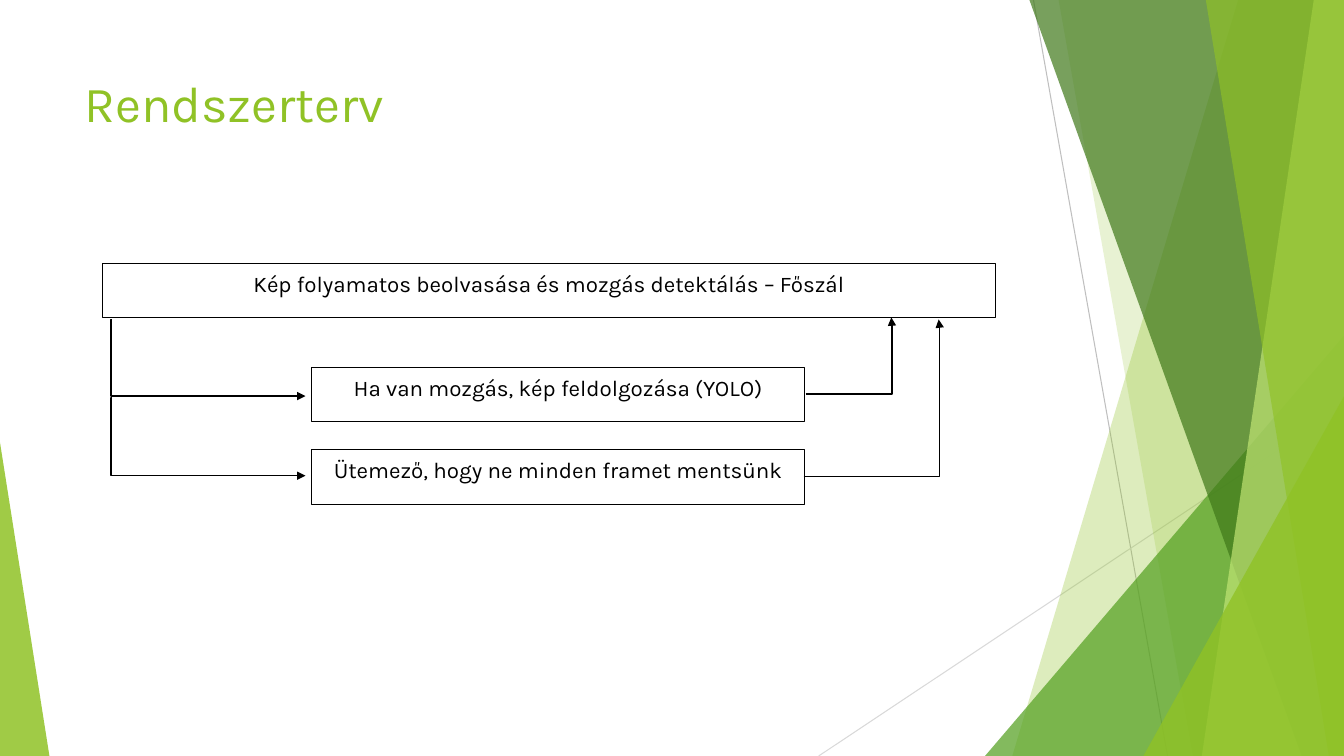
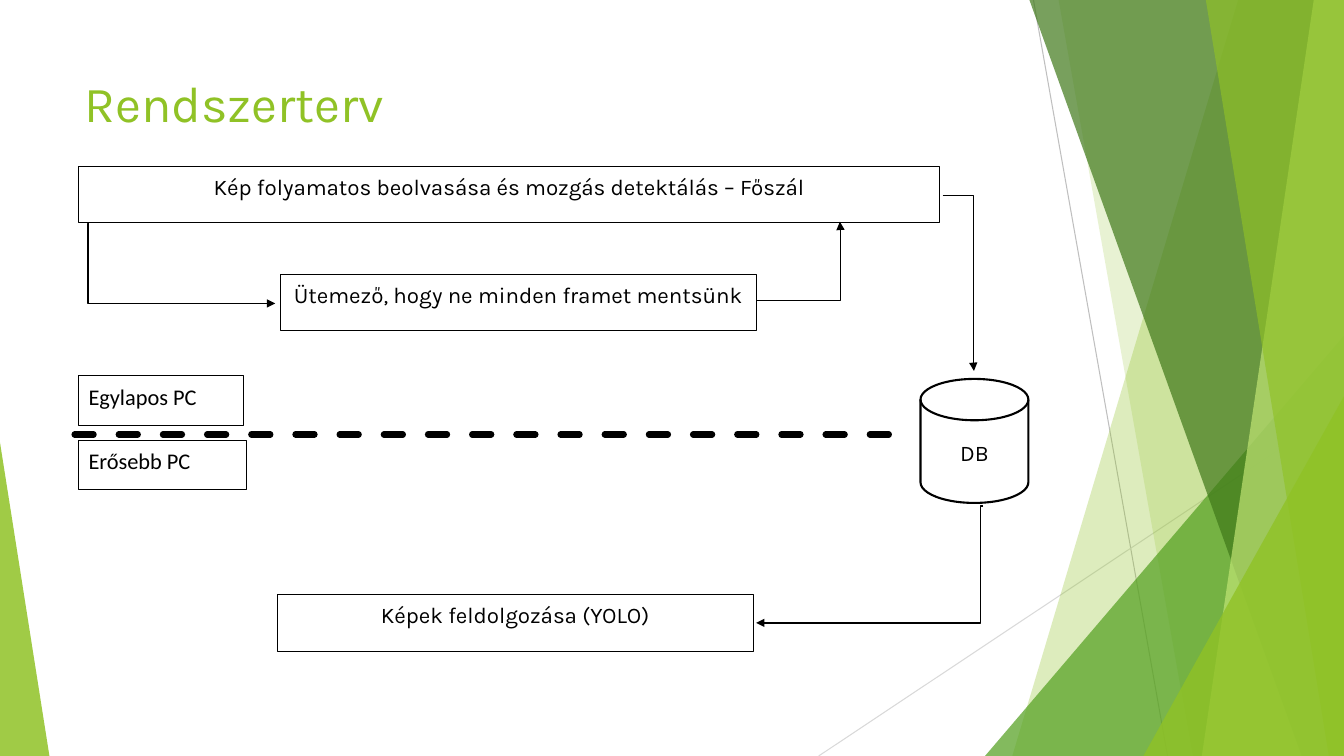
from lxml import etree
from pptx import Presentation
from pptx.dml.color import RGBColor
from pptx.enum import dml, shapes, text
from pptx.oxml.ns import qn
from pptx.util import Inches, Pt

BLACK = RGBColor(0x00, 0x00, 0x00)
WHITE = RGBColor(0xFF, 0xFF, 0xFF)
LIME = RGBColor(0x90, 0xC2, 0x26)
GREEN = RGBColor(0x54, 0xA0, 0x21)
DARK = RGBColor(0x3F, 0x78, 0x19)
PALE = RGBColor(0xC0, 0xE4, 0x74)
GREY = RGBColor(0xBF, 0xBF, 0xBF)
SILVER = RGBColor(0xD9, 0xD9, 0xD9)

FONT = "Karla"
WIDE, HIGH = 13.33, 7.5
MAIN = "Kép folyamatos beolvasása és mozgás detektálás – Főszál"
TIMER = "Ütemező, hogy ne minden framet mentsünk"
KIND = shapes.MSO_SHAPE
LINK = shapes.MSO_CONNECTOR

# Where an elbow turns, as a share of its width
AT_START, AT_END = -0.004, 1.007


def write(shape, words, size=16, font=FONT, color=BLACK,
          align=text.PP_ALIGN.CENTER, anchor=text.MSO_ANCHOR.TOP,
          spacing=1.07, after=8):
    frame = shape.text_frame
    frame.word_wrap = True
    frame.vertical_anchor = anchor
    para = frame.paragraphs[0]
    para.alignment = align
    para.line_spacing = spacing
    para.space_after = Pt(after)
    run = para.add_run()
    run.text = words
    run.font.size = Pt(size)
    run.font.name = font
    run.font.color.rgb = color


def tint(shape, color, alpha):
    """Fill without outline; alpha is the opacity in percent."""
    shape.shadow.inherit = False
    shape.line.fill.background()
    shape.fill.solid()
    shape.fill.fore_color.rgb = color
    clr = shape.fill._xPr.find(".//" + qn("a:srgbClr"))
    etree.SubElement(clr, qn("a:alpha")).set("val", str(alpha * 1000))


def shard(slide, points, color, alpha):
    pts = [(Inches(x), Inches(y)) for x, y in points]
    pen = slide.shapes.build_freeform(*pts[0], scale=1.0)
    pen.add_line_segments(pts[1:], close=True)
    tint(pen.convert_to_shape(), color, alpha)


def wedge(slide, left, top, width, peak, color, alpha):
    """Triangle standing on the bottom edge of the slide."""
    shape = slide.shapes.add_shape(
        KIND.ISOSCELES_TRIANGLE, Inches(left), Inches(top),
        Inches(width), Inches(HIGH - top))
    shape.adjustments[0] = peak
    tint(shape, color, alpha)


def line(slide, start, end, color=BLACK, weight=1, kind=LINK.STRAIGHT):
    ends = [Inches(v) for v in (*start, *end)]
    conn = slide.shapes.add_connector(kind, *ends)
    conn.line.color.rgb = color
    conn.line.width = Pt(weight)
    etree.SubElement(conn._element.spPr, qn("a:effectLst"))
    return conn


def arrow(slide, start, end, turn):
    conn = line(slide, start, end, kind=LINK.ELBOW)
    geom = conn._element.spPr.find(qn("a:prstGeom"))
    guides = geom.find(qn("a:avLst"))
    if guides is None:
        guides = etree.SubElement(geom, qn("a:avLst"))
    guide = etree.SubElement(guides, qn("a:gd"))
    guide.set("name", "adj1")
    guide.set("fmla", f"val {round(turn * 100000)}")
    tail = etree.SubElement(conn.line._get_or_add_ln(), qn("a:tailEnd"))
    tail.set("type", "triangle")


def box(slide, words, left, top, width, height, weight=0.5,
        kind=KIND.RECTANGLE, **style):
    shape = slide.shapes.add_shape(
        kind, Inches(left), Inches(top), Inches(width), Inches(height))
    shape.shadow.inherit = False
    shape.fill.solid()
    shape.fill.fore_color.rgb = WHITE
    shape.line.color.rgb = BLACK
    shape.line.width = Pt(weight)
    write(shape, words, **style)


def decor(slide):
    def band(top, low, color, alpha):
        """Shard from its left edge to the right side of the slide."""
        shard(slide, [(top, 0), (WIDE, 0), (WIDE, HIGH), (low, HIGH)],
              color, alpha)

    line(slide, (10.25, 0), (11.58, HIGH), GREY, 0.75)
    line(slide, (WIDE, 4.03), (8.12, HIGH), SILVER, 0.75)
    band(12.28, 10.04, LIME, 30)
    band(10.5, 11.83, LIME, 20)
    wedge(slide, 9.77, 3.33, 3.56, 1, GREEN, 72)
    band(10.21, 12.91, DARK, 70)
    band(13.03, 11.92, PALE, 70)
    band(11.96, 13.18, LIME, 65)
    wedge(slide, 11.34, 3.93, 1.99, 1, LIME, 80)
    wedge(slide, 0, 4.39, 0.49, 0, LIME, 85)


def start(deck, title):
    """Add a slide with the shared decoration and title."""
    slide = deck.slides.add_slide(deck.slide_layouts[6])
    decor(slide)
    head = slide.shapes.add_textbox(
        Inches(0.74), Inches(0.67), Inches(9.4), Inches(1.44))
    write(head, title, size=36, color=LIME, align=text.PP_ALIGN.LEFT,
          spacing=1.0, after=0)
    return slide


def threads(deck):
    slide = start(deck, "Rendszerterv")
    box(slide, MAIN, 1.02, 2.61, 8.85, 0.54)
    box(slide, "Ha van mozgás, kép feldolgozása (YOLO)",
        3.09, 3.64, 4.89, 0.54)
    box(slide, TIMER, 3.09, 4.46, 4.89, 0.54)
    for top, low in ((3.17, 3.93), (3.95, 4.72)):
        arrow(slide, (1.11, top), (3.03, low), AT_START)
    arrow(slide, (7.97, 4.73), (9.31, 3.17), AT_END)
    arrow(slide, (7.99, 3.91), (8.84, 3.15), AT_END)


def split(deck):
    slide = start(deck, "Rendszerterv")
    box(slide, "DB", 9.13, 3.76, 1.07, 1.23, weight=1.5,
        kind=KIND.FLOWCHART_MAGNETIC_DISK, anchor=text.MSO_ANCHOR.MIDDLE)
    box(slide, MAIN, 0.78, 1.65, 8.54, 0.56)
    box(slide, TIMER, 2.78, 2.72, 4.72, 0.56)
    box(slide, "Képek feldolgozása (YOLO)", 2.75, 5.9, 4.72, 0.56)
    arrow(slide, (9.35, 1.94), (9.66, 3.68), 0.98)
    arrow(slide, (9.75, 5.02), (7.5, 6.18), 0.01)
    arrow(slide, (0.88, 2.22), (2.73, 3.01), AT_START)
    arrow(slide, (7.51, 2.98), (8.33, 2.2), AT_END)

    border = line(slide, (0.74, 4.31), (8.98, 4.31), weight=4.5)
    border.line.dash_style = dml.MSO_LINE.DASH
    border.line._get_or_add_ln().set("cap", "rnd")
    for words, top, width in (("Egylapos PC", 3.73, 1.64),
                              ("Erősebb PC", 4.37, 1.67)):
        box(slide, words, 0.78, top, width, 0.49, weight=0.75,
            font="Calibri", align=text.PP_ALIGN.LEFT)


def main():
    deck = Presentation()
    deck.slide_width, deck.slide_height = Inches(WIDE), Inches(HIGH)
    threads(deck)
    split(deck)
    deck.save("out.pptx")


if __name__ == "__main__":
    main()
